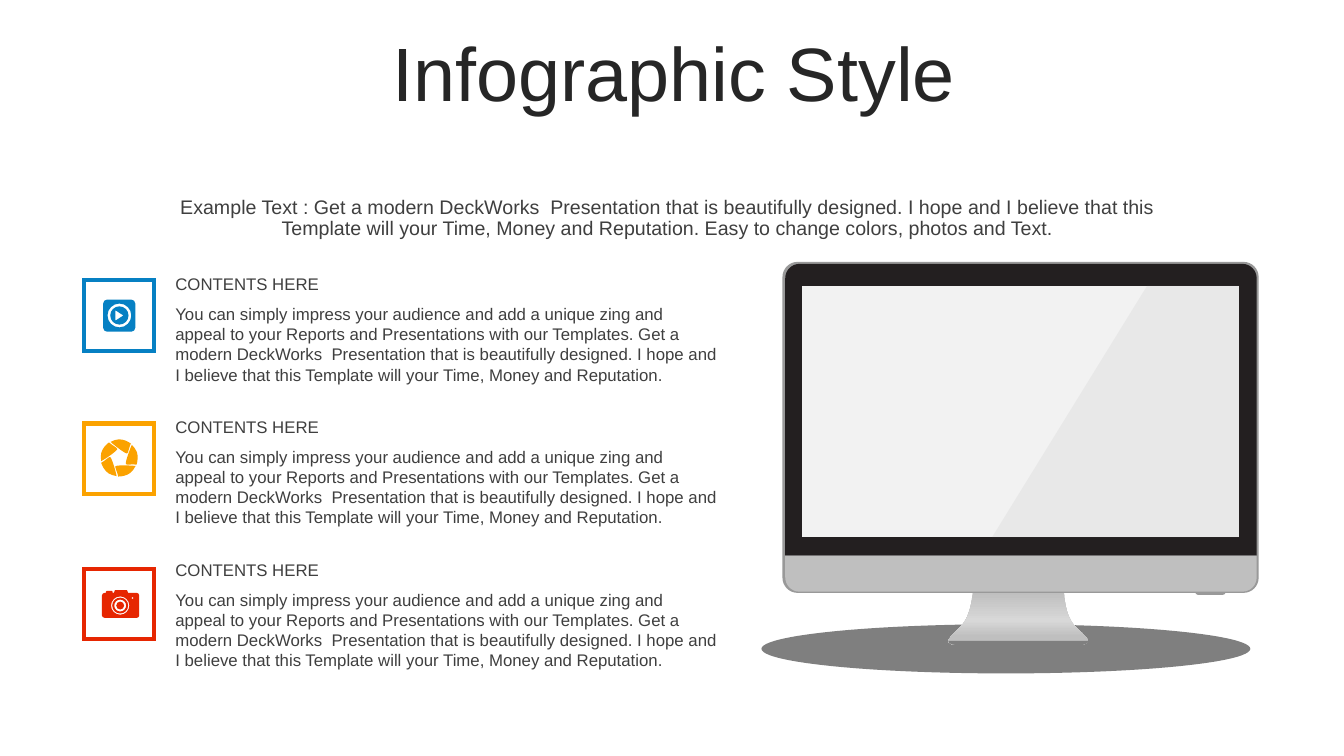
import math

import lxml.etree
import pptx
import pptx.dml.color
import pptx.enum.shapes
import pptx.enum.text
import pptx.oxml.ns
import pptx.util

Cm = pptx.util.Cm
KIND = pptx.enum.shapes.MSO_SHAPE
ALIGN = pptx.enum.text.PP_ALIGN
TEXT = pptx.enum.text
qn = pptx.oxml.ns.qn

TITLE = "Infographic Style"
INTRO = ("Example Text : Get a modern DeckWorks  Presentation that is beautifully designed. "
         "I hope and I believe that this Template will your Time, Money and Reputation. "
         "Easy to change colors, photos and Text.")
HEAD = "CONTENTS HERE"
BODY = ("You can simply impress your audience and add a unique zing and appeal to your "
        "Reports and Presentations with our Templates. Get a modern DeckWorks  Presentation "
        "that is beautifully designed. I hope and I believe that this Template will your "
        "Time, Money and Reputation.")
INK, GREY = "262626", "3F3F3F"
ROWS = [("0680C3", 7.06), ("FBA200", 10.67), ("E62601", 14.33)]
ROW_TOP, PITCH, HEAD_H, BODY_H = 6.77, 3.6, 0.76, 2.31
STEEL = [(0, "BFBFBF"), (53, "D8D8D8"), (83, "BFBFBF"), (100, "BFBFBF")]
BEND = 0.55

STAND = [(27.08, 15.77), (26.82, 15.49, 26.82, 14.94, 26.82, 14.94), (24.51, 14.94),
         (24.51, 14.94, 24.49, 15.49, 24.23, 15.77),
         (24, 16.03, 23.6, 16.26, 24.28, 16.26), (27.05, 16.26),
         (27.71, 16.26, 27.33, 16.03, 27.08, 15.77)]
FOOT = [(23.9, 16.15), (23.9, 16.24, 24.03, 16.26, 24.31, 16.26), (27.05, 16.26),
        (27.33, 16.26, 27.43, 16.24, 27.43, 16.15)]
GLARE = [(28.91, 7.2), (31.22, 7.2), (31.22, 13.54), (25, 13.54)]
BLADE = [(0, -0.47), (0.12, -0.47, 0.23, -0.41, 0.3, -0.36),
         (0.25, -0.26, 0.23, -0.11, 0.2, -0.11),
         (0.15, -0.11, -0.08, -0.29, -0.21, -0.41),
         (-0.13, -0.44, -0.08, -0.47, 0, -0.47)]
CAMERA = [(2.9, 14.87), (3.2, 14.87), (3.23, 14.94), (3.45, 14.94),
          (3.48, 14.94, 3.51, 14.97, 3.51, 15.01), (3.51, 15.51),
          (3.51, 15.54, 3.48, 15.57, 3.45, 15.57), (2.64, 15.57),
          (2.6, 15.57, 2.57, 15.54, 2.57, 15.51), (2.57, 15.01),
          (2.57, 14.97, 2.6, 14.94, 2.64, 14.94), (2.67, 14.94), (2.67, 14.91),
          (2.67, 14.91, 2.69, 14.89, 2.69, 14.89), (2.82, 14.89),
          (2.82, 14.89, 2.84, 14.91, 2.84, 14.91), (2.84, 14.94), (2.87, 14.94)]


def hue(code):
    return pptx.dml.color.RGBColor.from_string(code)


def slab(left, top, right, base, high=0, low=0):
    tips = [(left, top, high, 0, 1, 1, 0), (right, top, high, -1, 0, 0, 1),
            (right, base, low, 0, -1, -1, 0), (left, base, low, 1, 0, 0, -1)]
    steps = []
    for x, y, r, ax, ay, bx, by in tips:
        start = (x + r * ax, y + r * ay)
        if not steps or math.dist(steps[-1][-2:], start) > 0.001:
            steps.append(start)
        if r:
            near = r * (1 - BEND)
            steps.append((x + near * ax, y + near * ay, x + near * bx, y + near * by,
                          x + r * bx, y + r * by))
    return steps


def disc(x, y, r):
    return slab(x - r, y - r, x + r, y + r, r, r)


def spin(steps, angle, x, y):
    c, s = math.cos(math.radians(angle)), math.sin(math.radians(angle))
    return [tuple(v for p, q in zip(step[::2], step[1::2])
                  for v in (x + c * p - s * q, y + s * p + c * q)) for step in steps]


def paint(shape, fill, alpha=None):
    shape.shadow.inherit = False
    shape.line.fill.background()
    shape.fill.solid()
    shape.fill.fore_color.rgb = hue(fill)
    if alpha:
        tint = shape.fill._xPr.find(".//" + qn("a:srgbClr"))
        lxml.etree.SubElement(tint, qn("a:alpha"), val=str(alpha * 1000))
    return shape


def curve(shape, steps):
    outline = next(shape._element.iter(qn("a:path")))
    marks = [mark for mark in outline if mark.tag != qn("a:close")]
    for mark, step in zip(marks, steps):
        if len(step) == 6:
            bow = lxml.etree.Element(qn("a:cubicBezTo"))
            for x, y in zip(step[::2], step[1::2]):
                lxml.etree.SubElement(bow, qn("a:pt"), x=str(Cm(x) - shape.left),
                                      y=str(Cm(y) - shape.top))
            outline.replace(mark, bow)


def draw(slide, loops, fill, alpha=None):
    ends = [[(Cm(step[-2]), Cm(step[-1])) for step in loop] for loop in loops]
    pen = slide.shapes.build_freeform(*ends[0][0], scale=1.0)
    for n, loop in enumerate(ends):
        if n:
            pen.move_to(*loop[0])
        pen.add_line_segments(loop[1:], close=True)
    shape = pen.convert_to_shape()
    curve(shape, [step for loop in loops for step in loop])
    return paint(shape, fill, alpha)


def shade(shape, stops):
    shape.fill.gradient()
    shape.fill.gradient_angle = 270
    ramp = shape.fill._xPr.find(".//" + qn("a:gsLst"))
    for old in list(ramp):
        ramp.remove(old)
    for pos, code in stops:
        stop = lxml.etree.SubElement(ramp, qn("a:gs"), pos=str(pos * 1000))
        lxml.etree.SubElement(stop, qn("a:srgbClr"), val=code)


def write(slide, text, box, size, ink, mid=False):
    frame = slide.shapes.add_textbox(*map(Cm, box)).text_frame
    frame.word_wrap = True
    para = frame.paragraphs[0]
    para.text = text
    para.font.name, para.font.size = "Arial", pptx.util.Pt(size)
    para.font.color.rgb = hue(ink)
    if mid:
        frame.vertical_anchor = TEXT.MSO_ANCHOR.MIDDLE
        para.alignment, para.line_spacing = ALIGN.CENTER, 0.9
    else:
        frame.auto_size = TEXT.MSO_AUTO_SIZE.SHAPE_TO_FIT_TEXT


def screen(slide):
    oval = slide.shapes.add_shape(KIND.OVAL, Cm(19.19), Cm(15.73), Cm(12.32), Cm(1.24))
    paint(oval, "7F7F7F")
    shade(draw(slide, [STAND], "BFBFBF"), STEEL)
    parts = [(slab(19.72, 6.6, 31.72, 14.94, 0.38, 0.38), "999999"),
             (slab(30.12, 14.91, 30.89, 14.99, 0, 0.07), "999999"),
             (slab(19.79, 6.65, 31.67, 14, 0.36), "231F20"),
             (FOOT, "7F7F7F"),
             (slab(19.79, 14, 31.67, 14.91, 0, 0.36), "BFBFBF"),
             (slab(20.22, 7.2, 31.22, 13.54), "F2F2F2")]
    for loop, fill in parts:
        draw(slide, [loop], fill)
    draw(slide, [GLARE], "999999", 10)


def main():
    deck = pptx.Presentation()
    deck.slide_width, deck.slide_height = Cm(33.87), Cm(19.05)
    slide = deck.slides.add_slide(deck.slide_layouts[6])
    screen(slide)
    write(slide, TITLE, (0.9, 0.94, 32.16, 2.01), 54, INK, True)
    for tone, top in ROWS:
        tile = slide.shapes.add_shape(KIND.RECTANGLE, Cm(2.11), Cm(top), Cm(1.78), Cm(1.78))
        paint(tile, "FFFFFF", 80)
        tile.line.color.rgb = hue(tone)
        tile.line.width = pptx.util.Pt(3)
        edge = tile._element.spPr.find(qn("a:ln"))
        lxml.etree.SubElement(edge, qn("a:miter"), lim="800000")
    for n in range(len(ROWS)):
        y = ROW_TOP + n * PITCH
        write(slide, BODY, (4.17, y + HEAD_H, 14.2, BODY_H), 12, GREY)
        write(slide, HEAD, (4.17, y, 14.2, HEAD_H), 12, GREY)
    write(slide, INTRO, (3.3, 4.61, 27.05, 1.8), 14, GREY, True)

    play = [slab(2.6, 7.55, 3.41, 8.36, 0.1, 0.1), disc(3.01, 7.95, 0.3),
            disc(3.01, 7.95, 0.23), [(2.91, 7.82), (3.11, 7.95), (2.91, 8.08)]]
    iris = [spin(BLADE, 72 * n, 3.01, 11.54) for n in range(5)]
    photo = [CAMERA, disc(3.34, 15.07, 0.03)]
    photo += [disc(3.03, 15.26, r) for r in (0.23, 0.2, 0.15, 0.1)]
    for (tone, top), icon, turn in zip(ROWS, (play, iris, photo), (0, 143, 0)):
        draw(slide, icon, tone).rotation = turn
    deck.save("out.pptx")


if __name__ == "__main__":
    main()
